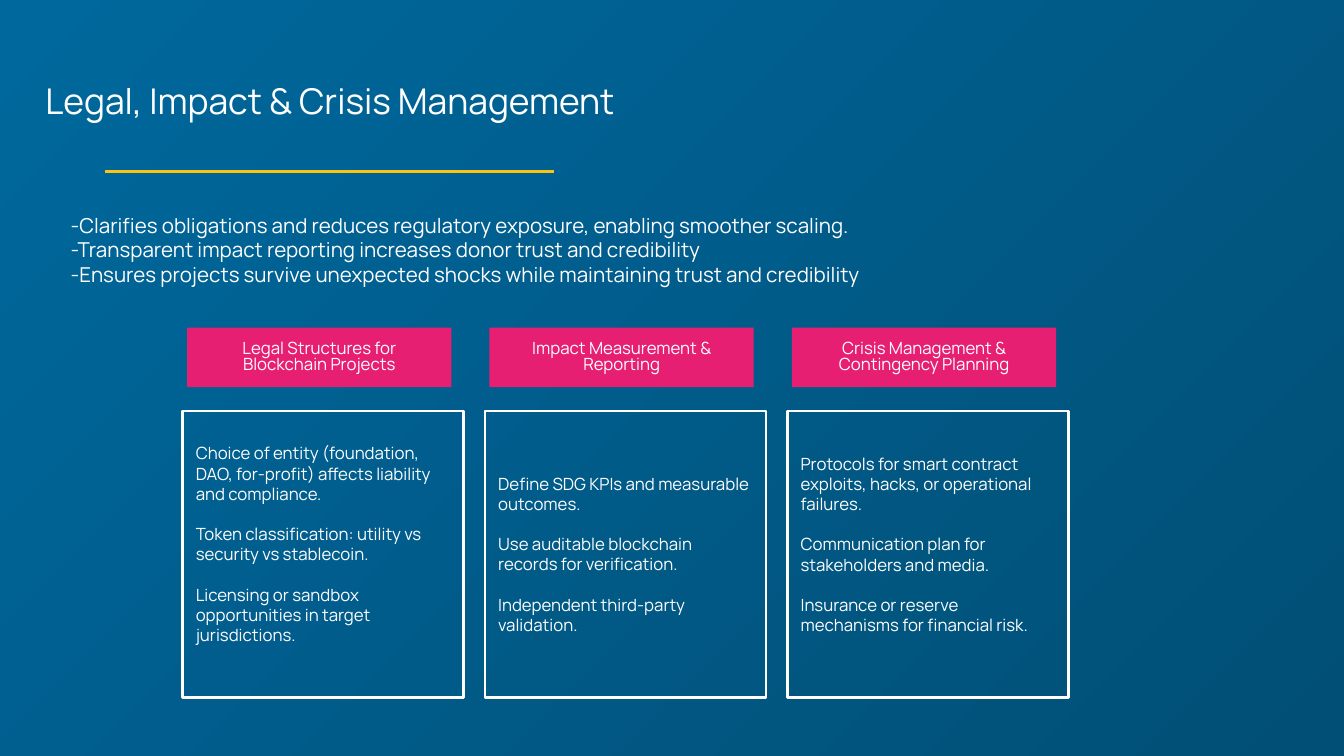
from lxml.etree import SubElement
from pptx import Presentation
from pptx.dml.color import RGBColor
from pptx.enum.shapes import MSO_CONNECTOR, MSO_SHAPE
from pptx.enum.text import MSO_ANCHOR, PP_ALIGN
from pptx.oxml.ns import qn
from pptx.util import Pt

HUES = {"sky": "00689D", "deep": "014F76", "white": "FFFFFF",
        "gold": "FBC410", "pink": "E71F72"}
FONT = "Manrope"
INTRO = [
    "-Clarifies obligations and reduces regulatory exposure, enabling smoother scaling.",
    "-Transparent impact reporting increases donor trust and credibility",
    "-Ensures projects survive unexpected shocks while maintaining trust and credibility",
]
CARDS = [
    ("Legal Structures for Blockchain Projects", 18, [
        "Choice of entity (foundation, DAO, for-profit) affects liability and compliance.",
        "Token classification: utility vs security vs stablecoin.",
        "Licensing or sandbox opportunities in target jurisdictions."]),
    ("Impact Measurement & Reporting", 7.2, [
        "Define SDG KPIs and measurable outcomes.",
        "Use auditable blockchain records for verification.",
        "Independent third-party validation."]),
    ("Crisis Management & Contingency Planning", 18, [
        "Protocols for smart contract exploits, hacks, or operational failures.",
        "Communication plan for stakeholders and media.",
        "Insurance or reserve mechanisms for financial risk."]),
]


def hue(name):
    return RGBColor.from_string(HUES[name])


def write(shape, lines, size, align=PP_ALIGN.LEFT, anchor=MSO_ANCHOR.TOP,
          gap=0, lead=None, foot=7.2):
    frame = shape.text_frame
    frame.word_wrap = True
    frame.vertical_anchor = anchor
    frame.margin_left = frame.margin_right = frame.margin_top = Pt(7.2)
    frame.margin_bottom = Pt(foot)
    for i, line in enumerate(lines):
        para = frame.add_paragraph() if i else frame.paragraphs[0]
        para.alignment = align
        if lead:
            para.line_spacing = lead
        if i and gap:
            para.space_before = Pt(gap)
        run = para.add_run()
        run.text = line
        run.font.name = FONT
        run.font.size = Pt(size)
        run.font.color.rgb = hue("white")


def block(slide, left, top, width, height, fill=None, edge=None):
    shape = slide.shapes.add_shape(
        MSO_SHAPE.RECTANGLE, Pt(left), Pt(top), Pt(width), Pt(height))
    shape.shadow.inherit = False
    if fill:
        shape.fill.solid()
        shape.fill.fore_color.rgb = hue(fill)
    else:
        shape.fill.background()
    if edge:
        shape.line.color.rgb = hue(edge)
        shape.line.width = Pt(1.5)
    else:
        shape.line.fill.background()
    return shape


def paint(slide):
    fill = slide.background.fill
    fill.gradient()
    fill.gradient_angle = 315
    for stop, name, place in zip(fill.gradient_stops, ("sky", "deep"), (0, 1)):
        stop.color.rgb = hue(name)
        stop.position = place


def head(slide, left, top, width, height):
    title = slide.shapes.add_textbox(Pt(left), Pt(top), Pt(width), Pt(height))
    write(title, ["Legal, Impact & Crisis Management"], 19, PP_ALIGN.CENTER)
    start, level = left + 59.8, top + 56.9
    rule = slide.shapes.add_connector(
        MSO_CONNECTOR.STRAIGHT, Pt(start), Pt(level), Pt(start + 240.5), Pt(level))
    rule.line.color.rgb = hue("gold")
    rule.line.width = Pt(1.5)
    SubElement(rule._element.spPr, qn("a:effectLst"))


def intro(slide, left, top, width, height):
    box = slide.shapes.add_textbox(Pt(left), Pt(top), Pt(width), Pt(height))
    write(box, INTRO, 11)


def card(slide, left, top, width, height, label, foot, lines):
    body = block(slide, left, top + 44.6, width, height - 44.6, edge="white")
    write(body, lines, 9, anchor=MSO_ANCHOR.MIDDLE, gap=10.8, foot=foot)
    tag = block(slide, left + 2.4, top, 141.6, 31.8, fill="pink")
    write(tag, [label], 9, PP_ALIGN.CENTER, lead=0.8)


def main():
    deck = Presentation()
    deck.slide_width, deck.slide_height = Pt(720), Pt(405)
    slide = deck.slides.add_slide(deck.slide_layouts[6])
    paint(slide)
    head(slide, -3.6, 35, 360.7, 60.5)
    for i, (label, foot, lines) in enumerate(CARDS):
        card(slide, 97.8 + i * 162, 175.6, 150.6, 198, label, foot, lines)
    intro(slide, 30.8, 106.8, 571.7, 54.7)
    deck.save("out.pptx")


if __name__ == "__main__":
    main()
